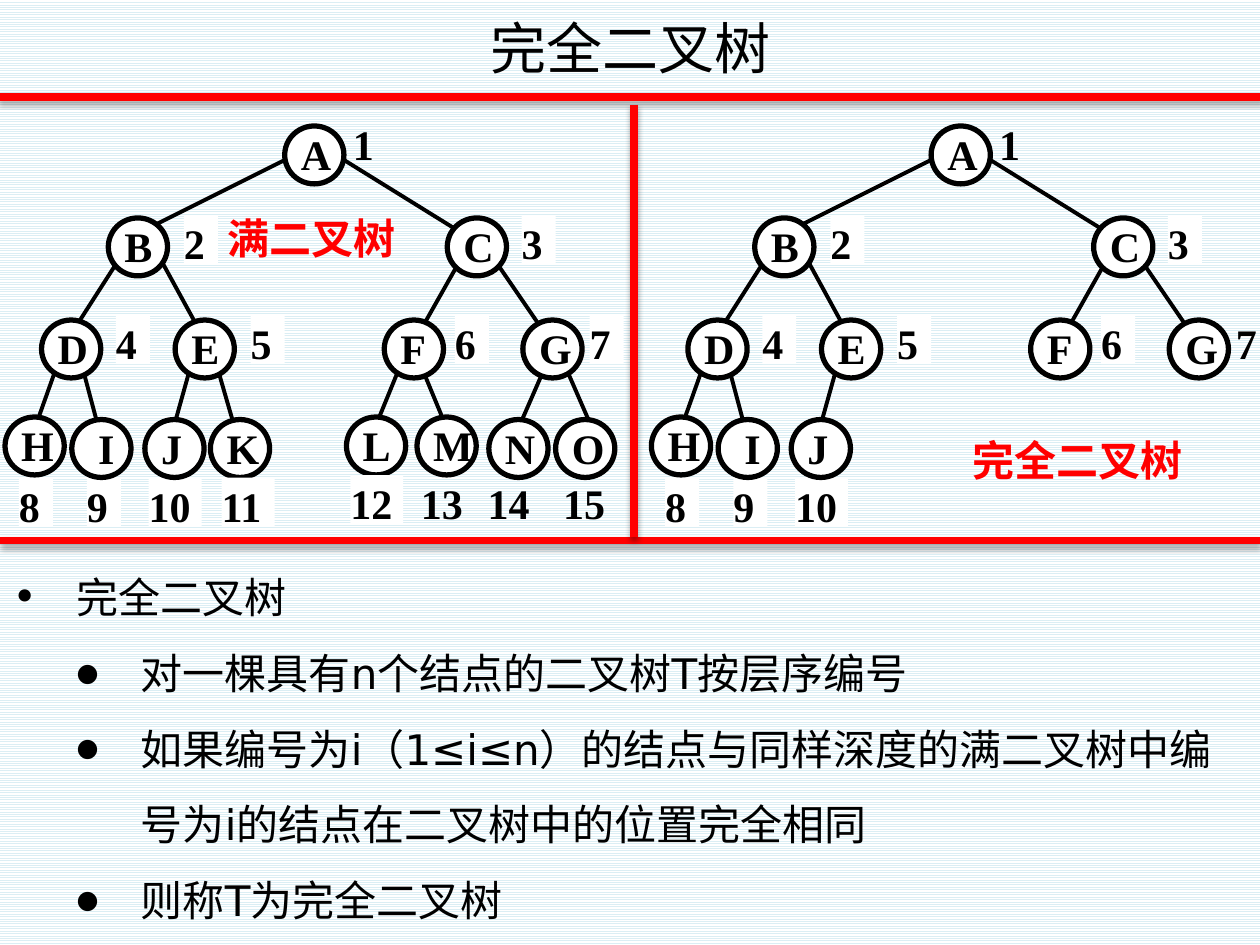
"""Build the slide that compares a full and a complete binary tree."""
from dataclasses import dataclass

import pptx
import pptx.dml.color
import pptx.enum.dml
import pptx.enum.shapes
import pptx.enum.text
import pptx.oxml.ns
import pptx.util
from lxml import etree
from pptx.util import Inches, Pt

BLACK = pptx.dml.color.RGBColor(0x00, 0x00, 0x00)
WHITE = pptx.dml.color.RGBColor(0xFF, 0xFF, 0xFF)
RED = pptx.dml.color.RGBColor(0xFF, 0x00, 0x00)
PALE_BLUE = pptx.dml.color.RGBColor(0xDB, 0xEE, 0xF4)
SERIF, SANS, CJK = "Times New Roman", "DejaVu Sans", "Noto Sans CJK SC"
ALIGN = pptx.enum.text.PP_ALIGN
ANCHOR = pptx.enum.text.MSO_ANCHOR
Point = tuple[float, float]


@dataclass(frozen=True)
class Node:
    number: int
    letter: str
    corner: Point
    label: Point
    edge: tuple[Point, Point] | None = None


@dataclass(frozen=True)
class Tree:
    shift: float
    count: int
    clear_labels: frozenset[int]


@dataclass(frozen=True)
class Caption:
    text: str
    left: float
    top: float
    width: float


@dataclass(frozen=True)
class Bullet:
    text: str
    indent: float
    mark: str
    percent: int


NODES = [
    Node(1, "A", (2.26, 1), (2.8, 0.92)),
    Node(2, "B", (0.86, 1.73), (1.46, 1.71), ((2.26, 1.27), (1.18, 1.81))),
    Node(3, "C", (3.55, 1.73), (4.14, 1.71), ((2.73, 1.27), (3.65, 1.84))),
    Node(4, "D", (0.33, 2.54), (0.92, 2.5), ((0.95, 2.05), (0.61, 2.58))),
    Node(5, "E", (1.39, 2.54), (1.99, 2.5), ((1.27, 2.05), (1.56, 2.58))),
    Node(6, "F", (3.05, 2.54), (3.61, 2.5), ((3.65, 2.07), (3.35, 2.6))),
    Node(7, "G", (4.15, 2.54), (4.68, 2.5), ((3.93, 2.07), (4.28, 2.58))),
    Node(8, "H", (0.04, 3.31), (0.15, 3.79), ((0.45, 2.91), (0.29, 3.36))),
    Node(9, "I", (0.57, 3.33), (0.69, 3.79), ((0.65, 2.9), (0.77, 3.35))),
    Node(10, "J", (1.15, 3.33), (1.18, 3.79), ((1.51, 2.92), (1.39, 3.35))),
    Node(11, "K", (1.67, 3.33), (1.76, 3.79), ((1.72, 2.9), (1.85, 3.35))),
    Node(12, "L", (2.75, 3.31), (2.78, 3.77), ((3.17, 2.92), (2.99, 3.36))),
    Node(13, "M", (3.31, 3.31), (3.34, 3.77), ((3.34, 2.9), (3.53, 3.36))),
    Node(14, "N", (3.88, 3.33), (3.87, 3.77), ((4.31, 2.95), (4.14, 3.34))),
    Node(15, "O", (4.41, 3.33), (4.47, 3.77), ((4.5, 2.94), (4.67, 3.33))),
]
TREES = [Tree(0, 15, frozenset({1, 13, 14, 15})), Tree(5.13, 10, frozenset({1, 7}))]
CAPTIONS = [Caption("满二叉树", 1.47, 1.64, 2.01), Caption("完全二叉树", 7.34, 3.4, 2.43)]
RULES = [((-0.01, 0.77), (10.01, 0.77)), ((0, 4.29), (10, 4.29)), ((5.03, 0.83), (5.03, 4.26))]
BULLETS = [
    Bullet("完全二叉树", 0.51, "•", 100),
    Bullet("对一棵具有n个结点的二叉树T按层序编号", 1.02, "●", 60),
    Bullet("如果编号为i（1≤i≤n）的结点与同样深度的满二叉树中编号为i的结点在二叉树中的位置完全相同", 1.02, "●", 60),
    Bullet("则称T为完全二叉树", 1.02, "●", 60),
]


def add_element(parent, tag: str, **attributes: str):
    """Append a DrawingML element and return it."""
    return etree.SubElement(parent, pptx.oxml.ns.qn(tag), attributes)


def set_font(paragraph, name: str, size: int = 24, color=BLACK, bold: bool = False) -> None:
    """Format a whole paragraph, East Asian text included."""
    font = paragraph.font
    font.name, font.size, font.bold = name, Pt(size), bold
    font.color.rgb = color
    add_element(paragraph._p.pPr.find(pptx.oxml.ns.qn("a:defRPr")), "a:ea", typeface=name)


def set_frame(frame, left: float, top: float) -> None:
    """Set tight margins with text at the top."""
    frame.word_wrap = True
    frame.vertical_anchor = ANCHOR.TOP
    frame.margin_left, frame.margin_top = Inches(left), Inches(top)
    frame.margin_right = frame.margin_bottom = 0


def draw_line(page, start: Point, end: Point, color=BLACK, width: float = 2.25):
    """Draw a straight line and return its empty effect list."""
    line = page.shapes.add_connector(
        pptx.enum.shapes.MSO_CONNECTOR.STRAIGHT, *map(Inches, (*start, *end)))
    line.line.color.rgb = color
    line.line.width = Pt(width)
    return add_element(line._element.spPr, "a:effectLst")


def draw_rule(page, start: Point, end: Point) -> None:
    """Draw a red dividing line with a soft shadow below."""
    effects = draw_line(page, start, end, RED, 4.5)
    shadow = add_element(effects, "a:outerShdw", blurRad="40000", dist="23000",
                         dir="5400000", rotWithShape="0")
    add_element(add_element(shadow, "a:srgbClr", val="000000"), "a:alpha", val="35000")


def draw_label(page, node: Node, tree: Tree) -> None:
    """Draw the number that belongs to a node."""
    left, top = node.label
    width = 0.27 if node.number < 10 else 0.42
    box = page.shapes.add_textbox(*map(Inches, (left + tree.shift, top, width, 0.39)))
    if node.number not in tree.clear_labels:
        box.fill.solid()
        box.fill.fore_color.rgb = WHITE
    set_frame(box.text_frame, 0, 0.02)
    para = box.text_frame.paragraphs[0]
    para.text = str(node.number)
    para.alignment = ALIGN.JUSTIFY
    set_font(para, SERIF, bold=True)


def draw_node(page, node: Node, tree: Tree) -> None:
    """Draw a lettered circle."""
    left, top = node.corner
    circle = page.shapes.add_shape(
        pptx.enum.shapes.MSO_SHAPE.OVAL, *map(Inches, (left + tree.shift, top, 0.47, 0.46)))
    circle.shadow.inherit = False
    circle.fill.solid()
    circle.fill.fore_color.rgb = WHITE
    circle.line.color.rgb = BLACK
    circle.line.width = Pt(3)
    set_frame(circle.text_frame, 0.14 if node.letter == "I" else 0.06, 0)
    para = circle.text_frame.paragraphs[0]
    para.text = node.letter
    para.alignment = ALIGN.LEFT
    para.line_spacing = 0.9
    set_font(para, SERIF, bold=True)


def draw_tree(page, tree: Tree) -> None:
    """Draw the labels, edges and circles of one tree."""
    nodes = NODES[:tree.count]
    for node in nodes[:10]:
        draw_label(page, node, tree)
    for node in nodes:
        if node.edge:
            start, end = [(x + tree.shift, y) for x, y in node.edge]
            draw_line(page, start, end)
    for node in nodes:
        draw_node(page, node, tree)
    for node in nodes[10:]:
        draw_label(page, node, tree)


def draw_caption(page, caption: Caption) -> None:
    """Draw the red name of a tree."""
    box = page.shapes.add_textbox(*map(Inches, (caption.left, caption.top, caption.width, 0.5)))
    box.text_frame.word_wrap = True
    para = box.text_frame.paragraphs[0]
    para.text = caption.text
    para.alignment = ALIGN.CENTER
    set_font(para, CJK, color=RED, bold=True)


def draw_bullets(page) -> None:
    """Draw the definition below the trees."""
    box = page.shapes.add_textbox(*map(Inches, (0, 4.29, 10, 3.21)))
    frame = box.text_frame
    frame.word_wrap = True
    for index, bullet in enumerate(BULLETS):
        para = frame.add_paragraph() if index else frame.paragraphs[0]
        para.text = bullet.text
        para.line_spacing = 1.5
        properties = para._p.get_or_add_pPr()
        properties.set("marL", str(Inches(bullet.indent)))
        properties.set("indent", str(Inches(-0.51)))
        add_element(add_element(properties, "a:buClr"), "a:srgbClr", val="000000")
        add_element(properties, "a:buSzPct", val=str(bullet.percent * 1000))
        add_element(properties, "a:buFont", typeface="DejaVu Sans")
        add_element(properties, "a:buChar", char=bullet.mark)
        set_font(para, SANS)


def draw_title(page) -> None:
    """Place and format the title."""
    title = page.shapes.title
    title.left, title.top, title.width, title.height = map(Inches, (0, 0.05, 10.01, 0.65))
    title.text_frame.vertical_anchor = ANCHOR.MIDDLE
    para = title.text_frame.paragraphs[0]
    para.text = "完全二叉树"
    para.alignment = ALIGN.CENTER
    set_font(para, CJK, 32)


def main() -> None:
    """Build and save the deck."""
    deck = pptx.Presentation()
    deck.slide_width, deck.slide_height = Inches(10), Inches(7.5)
    page = deck.slides.add_slide(deck.slide_layouts[5])
    fill = page.background.fill
    fill.patterned()
    fill.pattern = pptx.enum.dml.MSO_PATTERN.LIGHT_HORIZONTAL
    fill.fore_color.rgb, fill.back_color.rgb = PALE_BLUE, WHITE
    draw_title(page)
    draw_bullets(page)
    for start, end in RULES:
        draw_rule(page, start, end)
    for tree in TREES:
        draw_tree(page, tree)
    for caption in CAPTIONS:
        draw_caption(page, caption)
    deck.save("out.pptx")


if __name__ == "__main__":
    main()
